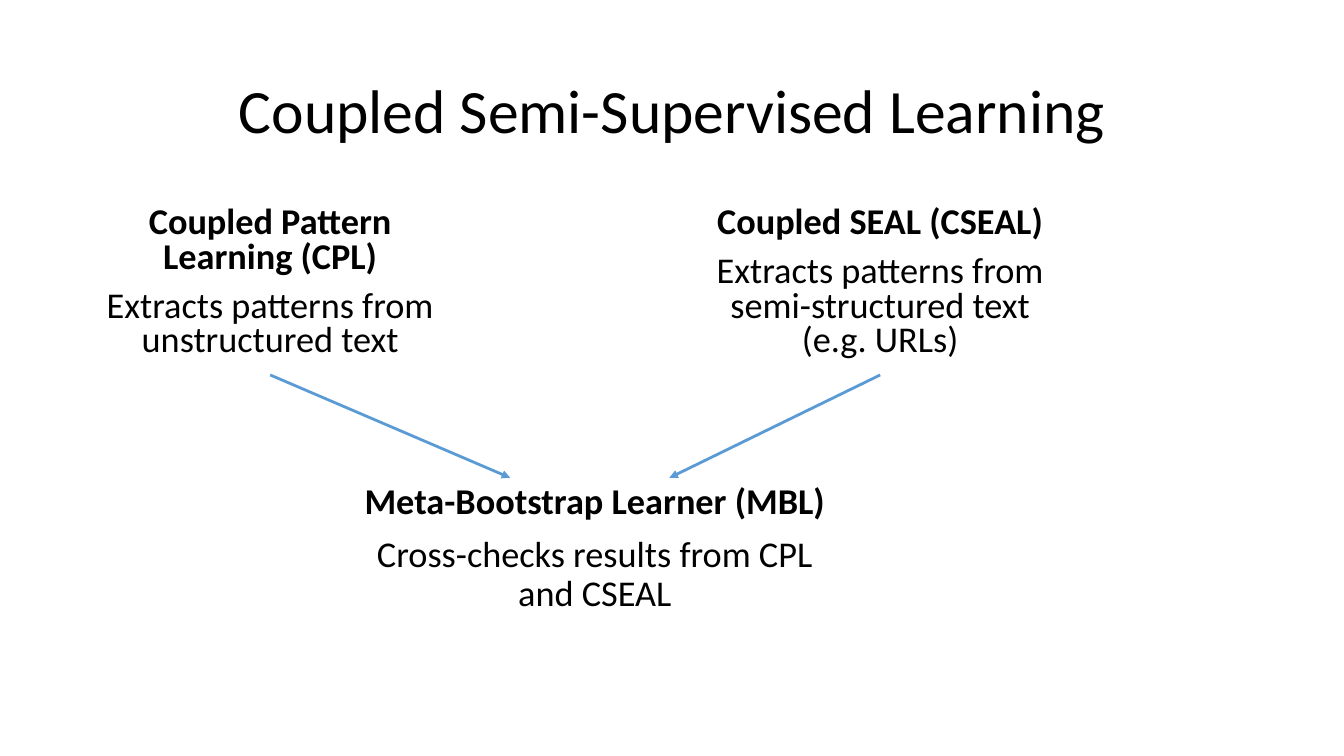
from dataclasses import dataclass

from lxml import etree
from pptx import Presentation
from pptx import util as u
from pptx.dml.color import RGBColor
from pptx.enum import shapes, text
from pptx.oxml.ns import qn
from pptx.slide import Slide
from pptx.text.text import TextFrame

PX = 9144  # EMU in one px, 100 px to the inch
FONT = "Calibri"
COLORS = {"background": "FFFFFF", "text": "000000", "arrow": "5B9BD5"}
BODY_SIZE = 25.9
SPACE_BEFORE = 10


@dataclass(frozen=True)
class Learner:
    name: str
    task: str
    left: int
    top: int
    width: int
    line_spacing: float
    height: int = 172


@dataclass(frozen=True)
class Arrow:
    start: tuple[int, int]
    end: tuple[int, int]


LEARNERS = [
    Learner("Coupled Pattern Learning (CPL)",
            "Extracts patterns from unstructured text", 92, 200, 352, 0.8),
    Learner("Coupled SEAL (CSEAL)",
            "Extracts patterns from semi-structured text (e.g. URLs)", 697, 200, 352, 0.8),
    Learner("Meta-Bootstrap Learner (MBL)",
            "Cross-checks results from CPL and CSEAL", 342, 474, 496, 0.9),
]
ARROWS = [Arrow((268, 372), (506, 474)), Arrow((873, 372), (664, 474))]


def px(length: int) -> u.Emu:
    return u.Emu(length * PX)


def color(name: str) -> RGBColor:
    return RGBColor.from_string(COLORS[name])


def add_frame(page: Slide, left: int, top: int, width: int, height: int) -> TextFrame:
    frame = page.shapes.add_textbox(px(left), px(top), px(width), px(height)).text_frame
    frame.word_wrap = True
    return frame


def add_centred_para(frame: TextFrame, words: str, size: float, line_spacing: float,
                     space_before: float = 0, bold: bool = False) -> None:
    """Fill the frame's first paragraph, or append one once that is taken."""
    first = frame.paragraphs[0]
    para = frame.add_paragraph() if first.runs else first
    para.alignment = text.PP_ALIGN.CENTER
    para.line_spacing = line_spacing
    para.space_before = u.Pt(space_before)
    span = para.add_run()
    span.text = words
    span.font.name = FONT
    span.font.size = u.Pt(size)
    span.font.bold = bold
    span.font.color.rgb = color("text")


def add_title(page: Slide, words: str) -> None:
    frame = add_frame(page, 92, 40, 1150, 145)
    frame.vertical_anchor = text.MSO_ANCHOR.MIDDLE
    add_centred_para(frame, words, 44, 0.9)


def add_learner(page: Slide, learner: Learner) -> None:
    frame = add_frame(page, learner.left, learner.top, learner.width, learner.height)
    for words, bold in ((learner.name, True), (learner.task, False)):
        add_centred_para(frame, words, BODY_SIZE, learner.line_spacing, SPACE_BEFORE, bold)


def add_arrow(page: Slide, arrow: Arrow) -> None:
    line = page.shapes.add_connector(
        shapes.MSO_CONNECTOR.STRAIGHT, *map(px, arrow.start + arrow.end))
    line.line.color.rgb = color("arrow")
    line.line.width = u.Pt(2)
    outline = line.line._get_or_add_ln()
    etree.SubElement(outline, qn("a:tailEnd"), type="triangle")
    etree.SubElement(line._element.spPr, qn("a:effectLst"))


def main() -> None:
    deck = Presentation()
    deck.slide_width, deck.slide_height = px(1333), px(750)
    page = deck.slides.add_slide(deck.slide_layouts[6])
    page.background.fill.solid()
    page.background.fill.fore_color.rgb = color("background")
    add_title(page, "Coupled Semi-Supervised Learning")
    for learner in LEARNERS:
        add_learner(page, learner)
    for arrow in ARROWS:
        add_arrow(page, arrow)
    deck.save("out.pptx")


if __name__ == "__main__":
    main()
